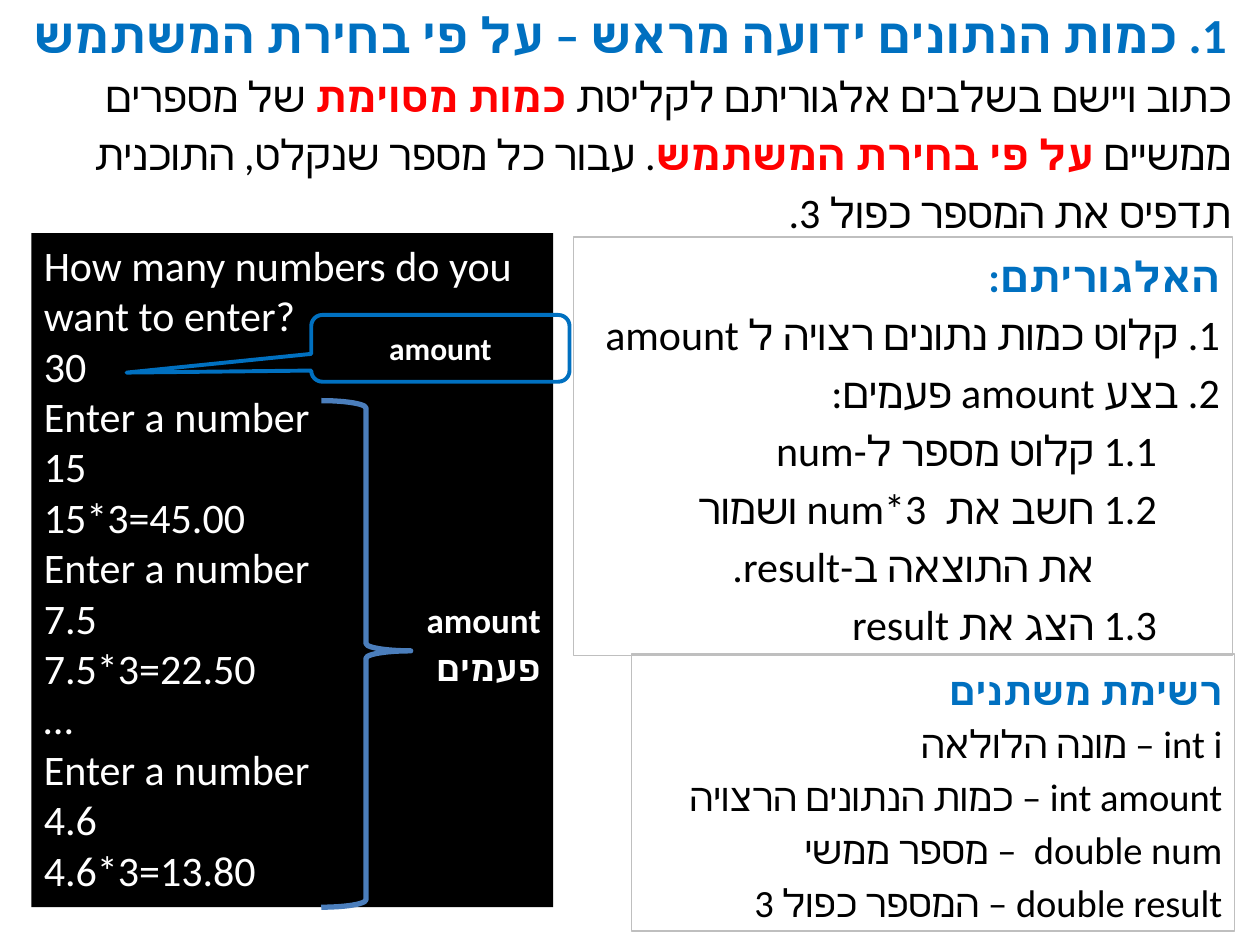
"""Build a slide on reading a user-chosen amount of numbers in a loop."""
import pptx
import pptx.dml.color
import pptx.enum.shapes
import pptx.enum.text
import pptx.oxml.ns
import pptx.util
from lxml import etree

Inches = pptx.util.Inches
Pt = pptx.util.Pt
RGBColor = pptx.dml.color.RGBColor
ALIGN = pptx.enum.text.PP_ALIGN
ANCHOR = pptx.enum.text.MSO_ANCHOR
SHAPE = pptx.enum.shapes.MSO_SHAPE
FIT = pptx.enum.text.MSO_AUTO_SIZE.SHAPE_TO_FIT_TEXT

BLUE = RGBColor(0x00, 0x70, 0xC0)
RED = RGBColor(0xFF, 0x00, 0x00)
BLACK = RGBColor(0x00, 0x00, 0x00)
WHITE = RGBColor(0xFF, 0xFF, 0xFF)
GRAY = RGBColor(0xBF, 0xBF, 0xBF)
BRACE_BLUE = RGBColor(0x4B, 0x7E, 0xBC)
FONT = "Calibri"

PLAIN = {"color": BLACK}
HEADING = {"color": BLUE, "bold": True}
STRESS = {"color": RED, "bold": True}
LABEL = {"color": WHITE, "bold": True}
CONSOLE = {"color": WHITE}

TITLE = "1. כמות הנתונים ידועה מראש – על פי בחירת המשתמש"
TASK = [
    ("כתוב ויישם בשלבים אלגוריתם לקליטת ", PLAIN),
    ("כמות מסוימת", STRESS),
    (" של מספרים ממשיים ", PLAIN),
    ("על פי בחירת המשתמש", STRESS),
    (". עבור כל מספר שנקלט, התוכנית תדפיס את המספר כפול 3. ", PLAIN),
]
VARIABLES = [
    (0, [("רשימת משתנים", HEADING)]),
    (0, [("int i – מונה הלולאה", PLAIN)]),
    (0, [("int amount – כמות הנתונים הרצויה", PLAIN)]),
    (0, [("double num  ", PLAIN), ("– מספר ממשי", {"color": BLACK, "font": "Arial"})]),
    (0, [("double result – המספר כפול 3", PLAIN)]),
]
ALGORITHM = [
    (0, [("האלגוריתם:", HEADING)]),
    (0, [("1. קלוט כמות נתונים רצויה ל amount ", PLAIN)]),
    (0, [("2. בצע amount פעמים:", PLAIN)]),
    (1, [("1.1 קלוט מספר ל-num", PLAIN)]),
    (1, [("1.2 חשב את  num*3 ושמור ", PLAIN)]),
    (2, [("את התוצאה ב-result.", PLAIN)]),
    (1, [("1.3 הצג את result", PLAIN)]),
]
OUTPUT = [
    "How many numbers do you want to enter?", "30",
    "Enter a number", "15", "15*3=45.00",
    "Enter a number", "7.5", "7.5*3=22.50", "… ",
    "Enter a number", "4.6", "4.6*3=13.80",
]


def place(shape, left, top, width, height):
    shape.left, shape.top = Inches(left), Inches(top)
    shape.width, shape.height = Inches(width), Inches(height)


def add_shape(kind, box, fill=None, line=None, weight=0.75):
    shape = slide.shapes.add_shape(kind, *map(Inches, box))
    shape.shadow.inherit = False
    if fill is None:
        shape.fill.background()
    else:
        shape.fill.solid()
        shape.fill.fore_color.rgb = fill
    if line is None:
        shape.line.fill.background()
    else:
        shape.line.color.rgb = line
        shape.line.width = Pt(weight)
    return shape


def write(shape, paragraphs, size, align=ALIGN.RIGHT, rtl=True, spacing=None,
          after=None, anchor=ANCHOR.TOP, fit=True):
    frame = shape.text_frame
    frame.word_wrap = True
    frame.vertical_anchor = anchor
    if fit:
        frame.auto_size = FIT
    for index, (level, runs) in enumerate(paragraphs):
        paragraph = frame.add_paragraph() if index else frame.paragraphs[0]
        paragraph.alignment = align
        paragraph.level = level
        if spacing:
            paragraph.line_spacing = spacing
        if after:
            paragraph.space_after = Pt(after)
        properties = paragraph._p.get_or_add_pPr()
        if rtl:
            properties.set("rtl", "1")
        if level:
            properties.set("marL", str(Inches(level * 0.5)))
            properties.set("indent", "0")
        for text, style in runs:
            run = paragraph.add_run()
            run.text = text
            run.font.size = Pt(size)
            run.font.name = style.get("font", FONT)
            run.font.bold = style.get("bold", False)
            run.font.color.rgb = style["color"]
            script = etree.SubElement(run._r.get_or_add_rPr(), pptx.oxml.ns.qn("a:cs"))
            script.set("typeface", FONT)


presentation = pptx.Presentation()
presentation.slide_width, presentation.slide_height = Inches(10), Inches(7.5)
slide = presentation.slides.add_slide(presentation.slide_layouts[5])

title = slide.shapes.title
place(title, 0, -0.01, 10, 0.55)
title.text_frame.margin_left = title.text_frame.margin_right = Inches(0.07)
title.text_frame.margin_top = title.text_frame.margin_bottom = Inches(0.04)
write(title, [(0, [(TITLE, HEADING)])], 28, ALIGN.CENTER, anchor=ANCHOR.MIDDLE)

task = slide.shapes.add_textbox(*map(Inches, (0, 0.45, 9.87, 1.45)))
write(task, [(0, TASK)], 24, spacing=1.15, after=10)

variables = add_shape(SHAPE.RECTANGLE, (5.01, 5.19, 4.79, 2.2), line=GRAY)
write(variables, VARIABLES, 22, spacing=1.15)

console = add_shape(SHAPE.RECTANGLE, (0.25, 1.85, 4.14, 5.35), fill=BLACK)
write(console, [(0, [(text, CONSOLE)]) for text in OUTPUT], 24, ALIGN.LEFT, rtl=False)

brace = add_shape(SHAPE.LEFT_BRACE, (2.55, 3.18, 0.71, 4.02), line=BRACE_BLUE, weight=3)
brace.adjustments[0], brace.adjustments[1] = 0.083, 0.494
brace._element.spPr.get_or_add_xfrm().set("flipH", "1")

algorithm = add_shape(SHAPE.RECTANGLE, (4.55, 1.88, 5.23, 3.32), line=GRAY)
write(algorithm, ALGORITHM, 24, spacing=1.15)

repeats = slide.shapes.add_textbox(*map(Inches, (3.26, 4.65, 1.13, 0.84)))
write(repeats, [(0, [("amount פעמים", LABEL)])], 20, spacing=1.15, after=10)

callout = add_shape(SHAPE.ROUNDED_RECTANGULAR_CALLOUT, (2.47, 2.5, 2.05, 0.53),
                    line=BLUE, weight=2.25)
for index, value in enumerate((-1.215, 0.364, 0.167)):
    callout.adjustments[index] = value
write(callout, [(0, [("amount", LABEL)])], 18, ALIGN.CENTER,
      anchor=ANCHOR.MIDDLE, fit=False)

presentation.save("out.pptx")
